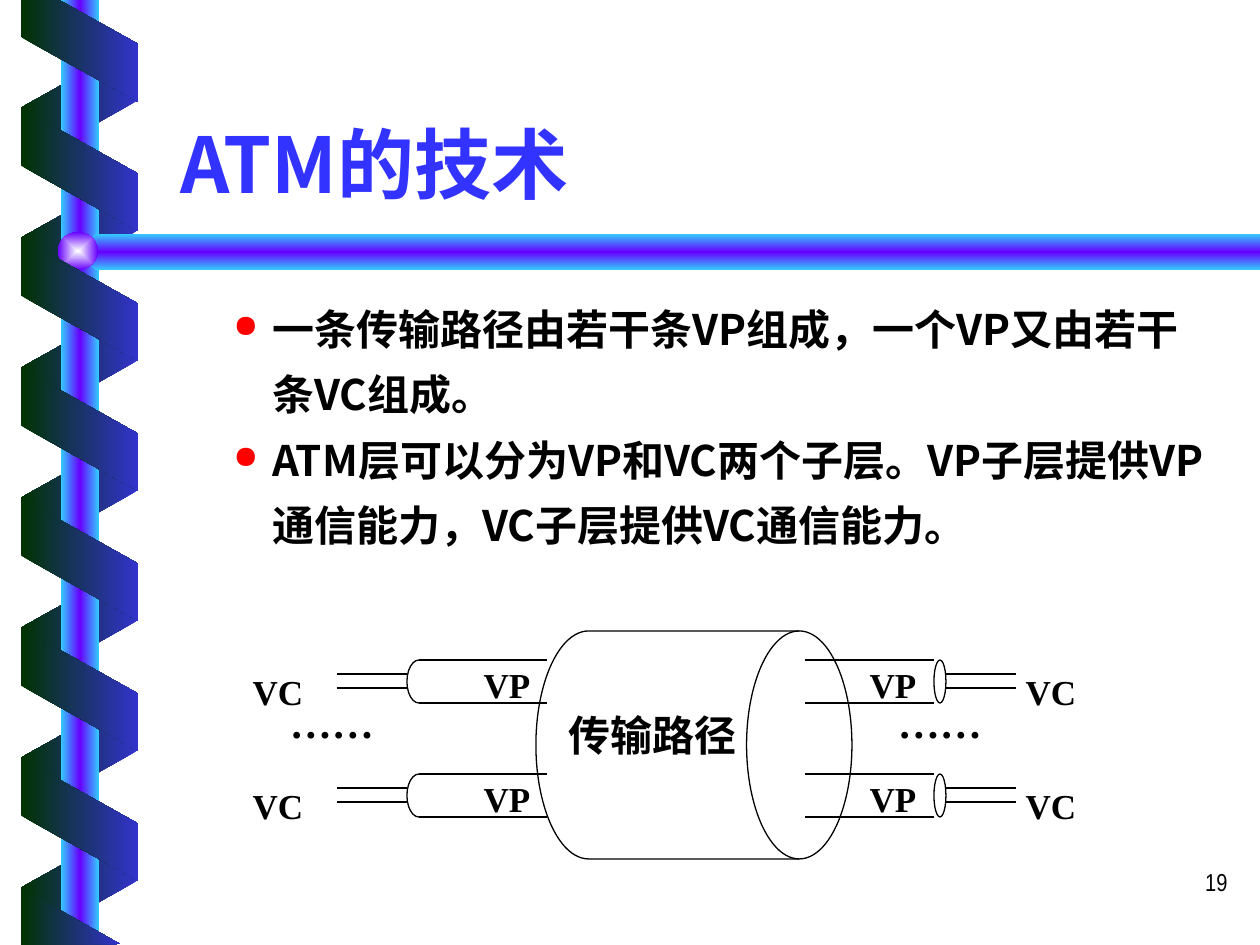
import pptx
import pptx.util
import pptx.dml.color
import pptx.enum.shapes
import pptx.enum.text
import pptx.oxml
import pptx.oxml.ns
from lxml import etree

PX = pptx.util.Inches(1) // 126
SHAPE = pptx.enum.shapes.MSO_SHAPE
ALIGN = pptx.enum.text.PP_ALIGN
ANCHOR = pptx.enum.text.MSO_ANCHOR
qn = pptx.oxml.ns.qn
CJK, SERIF, NARROW = "Noto Sans CJK SC", "Times New Roman", "Arial Narrow"
BLACK = "000000"

TITLE = "ATM的技术"
POINTS = [
    "一条传输路径由若干条VP组成，一个VP又由若干条VC组成。",
    "ATM层可以分为VP和VC两个子层。VP子层提供VP通信能力，VC子层提供VC通信能力。",
]
PAGE_NUMBER = "19"

RIBBON = [(0, "003300"), (100, "3333CC")]
TUBE = [(0, "33CCFF"), (50, "6600FF"), (100, "33CCFF")]
BALL = [(0, "FEFFFF"), (100, "6600FF")]
TURN = 130
BACK_TOPS = [46 + TURN * i for i in range(7)]
FRONT_TOPS = [111 + TURN * i for i in range(6)]
BAR = [(1260, 234), (96, 234), (76, 252), (96, 270), (1260, 270)]
RIBBON_START = [(21, 0), (21, 37), (138, 102), (138, 44), (59, 0)]
RIBBON_END = [(120, 944), (21, 888), (21, 945)]

ROWS = [660, 774]
TUBE_HEIGHT = 43
SIDES = [
    {"vc": 243, "wires": (337, 407), "tube": (419, 547), "vp": 478,
     "cap": (SHAPE.ARC, 407, 24), "dots": 290},
    {"vc": 1016, "wires": (946, 1016), "tube": (805, 934), "vp": 864,
     "cap": (SHAPE.OVAL, 934, 12), "dots": 898},
]

prs = pptx.Presentation()
prs.slide_width, prs.slide_height = 1260 * PX, 945 * PX
shapes = prs.slides.add_slide(prs.slide_layouts[6]).shapes


def rgb(color):
    return pptx.dml.color.RGBColor.from_string(color)


def gradient(shape, stops, angle=0, centred=False):
    """Fill without outline; the gradient keeps its direction when the shape turns."""
    shape.shadow.inherit = False
    shape.line.fill.background()
    shape.fill.background()
    stop_xml = "".join(
        f'<a:gs pos="{pos * 1000}"><a:srgbClr val="{color}"/></a:gs>' for pos, color in stops)
    if centred:
        direction = ('<a:path path="rect"><a:fillToRect l="50000" t="50000" '
                     'r="50000" b="50000"/></a:path>')
    else:
        direction = f'<a:lin ang="{angle * 60000}" scaled="0"/>'
    fill = pptx.oxml.parse_xml(
        f'<a:gradFill {pptx.oxml.ns.nsdecls("a")} rotWithShape="0">'
        f'<a:gsLst>{stop_xml}</a:gsLst>{direction}</a:gradFill>')
    properties = shape._element.spPr
    properties.replace(properties.find(qn("a:noFill")), fill)


def preset(kind, x, y, width, height):
    return shapes.add_shape(kind, x * PX, y * PX, width * PX, height * PX)


def outlined(kind, x, y, width, height):
    shape = preset(kind, x, y, width, height)
    shape.shadow.inherit = False
    shape.fill.background()
    shape.line.color.rgb = rgb(BLACK)
    shape.line.width = pptx.util.Pt(0.75)
    return shape


def polygon(points):
    builder = shapes.build_freeform(*points[0], scale=PX)
    builder.add_line_segments(points[1:], close=True)
    return builder.convert_to_shape()


def ribbon_band(y, height, front):
    band = preset(SHAPE.PARALLELOGRAM, 18, y, 123, height)
    band.adjustments[0] = 0.56
    band.rotation = 270 if front else 90
    if not front:
        band._element.spPr.xfrm.set("flipH", "1")
    gradient(band, RIBBON if front else [(0, "3333CC"), (100, "003300")])


def rule(start, end, y):
    line = shapes.add_connector(
        pptx.enum.shapes.MSO_CONNECTOR.STRAIGHT, start * PX, y * PX, end * PX, y * PX)
    line.line.color.rgb = rgb(BLACK)
    line.line.width = pptx.util.Pt(0.75)
    etree.SubElement(line._element.spPr, qn("a:effectLst"))


def bullet(paragraph):
    properties = paragraph._p.get_or_add_pPr()
    properties.set("marL", str(102 * PX))
    properties.set("indent", str(-39 * PX))
    color = etree.SubElement(properties, qn("a:buClr"))
    etree.SubElement(color, qn("a:srgbClr"), val="FF0000")
    etree.SubElement(properties, qn("a:buSzPct"), val="75000")
    etree.SubElement(properties, qn("a:buChar"), char="●")
    paragraph.line_spacing = 1.3


def write(lines, x, y, width, height, size, font=SERIF, color=BLACK, bold=True,
          align=ALIGN.LEFT, anchor=ANCHOR.TOP, inset=True, bulleted=False):
    frame = shapes.add_textbox(x * PX, y * PX, width * PX, height * PX).text_frame
    frame.text = "\n".join(lines)
    frame.word_wrap = True
    frame.vertical_anchor = anchor
    if not inset:
        frame.margin_left = frame.margin_right = frame.margin_top = frame.margin_bottom = 0
    for paragraph in frame.paragraphs:
        paragraph.alignment = align
        if bulleted:
            bullet(paragraph)
        for run in paragraph.runs:
            run.font.name = font
            run.font.size = pptx.util.Pt(size)
            run.font.bold = bold
            run.font.color.rgb = rgb(color)
            etree.SubElement(run.font._element, qn("a:ea"), typeface=CJK)


def label(text, x, y, width, height, size=20, align=ALIGN.CENTER):
    write([text], x, y, width, height, size, align=align, anchor=ANCHOR.MIDDLE, inset=False)


# Spiral ribbon around the pole
for top in BACK_TOPS:
    ribbon_band(top, 116, front=False)
gradient(preset(SHAPE.RECTANGLE, 61, 0, 38, 945), TUBE)
gradient(polygon(BAR), TUBE, angle=90)
gradient(preset(SHAPE.OVAL, 58, 232, 40, 38), BALL, centred=True)
for top in FRONT_TOPS:
    ribbon_band(top, 117, front=True)
for end_piece in (RIBBON_START, RIBBON_END):
    gradient(polygon(end_piece), RIBBON)

write([PAGE_NUMBER], 978, 861, 262, 63, 14, font=NARROW, bold=False, align=ALIGN.RIGHT)
write([TITLE], 168, 58, 1071, 157, 44, font=CJK, color="3333FF", anchor=ANCHOR.BOTTOM)
write(POINTS, 158, 282, 1071, 310, 24, font=CJK, bulleted=True)

# Transmission path with its VP tubes and VC wires
outlined(SHAPE.FLOWCHART_DIRECT_ACCESS_STORAGE, 536, 631, 316, 228)
for side in SIDES:
    cap_kind, cap_x, cap_width = side["cap"]
    for top in ROWS:
        for offset in (0, TUBE_HEIGHT):
            rule(*side["tube"], top + offset)
        for offset in (14, 28):
            rule(*side["wires"], top + offset)
        cap = outlined(cap_kind, cap_x, top, cap_width, TUBE_HEIGHT)
        if cap_kind == SHAPE.ARC:
            cap.adjustments[0], cap.adjustments[1] = 54, 162  # 90 to 270 degrees
        label("VP", side["vp"], top + 3, 58, 42)
        label("VC", side["vc"], top + 10, 70, 42)
    label("……", side["dots"], 697, 93, 50, size=24, align=ALIGN.LEFT)
write(["传输路径"], 536, 703, 234, 63, 24, align=ALIGN.CENTER)

prs.save("out.pptx")
